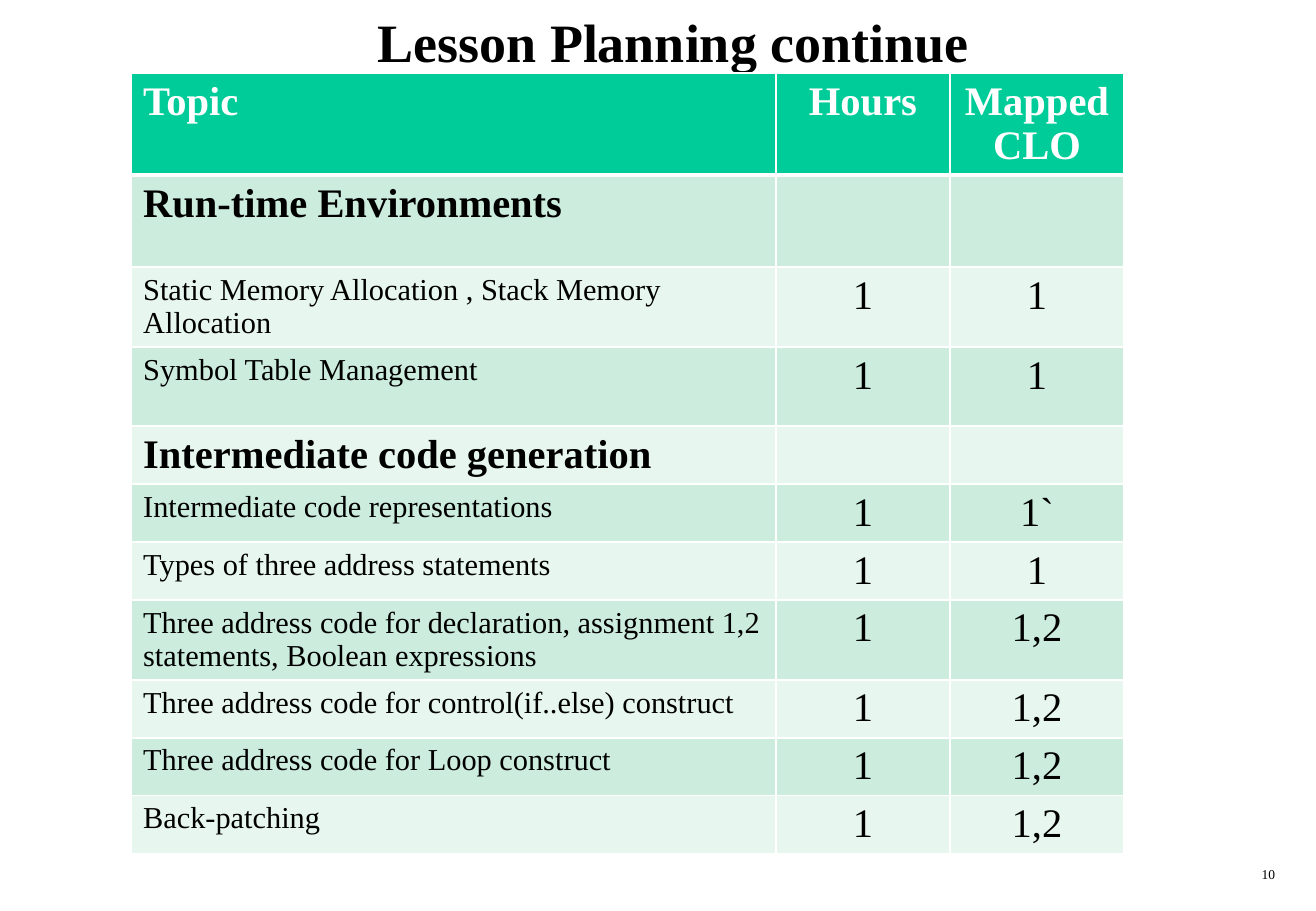
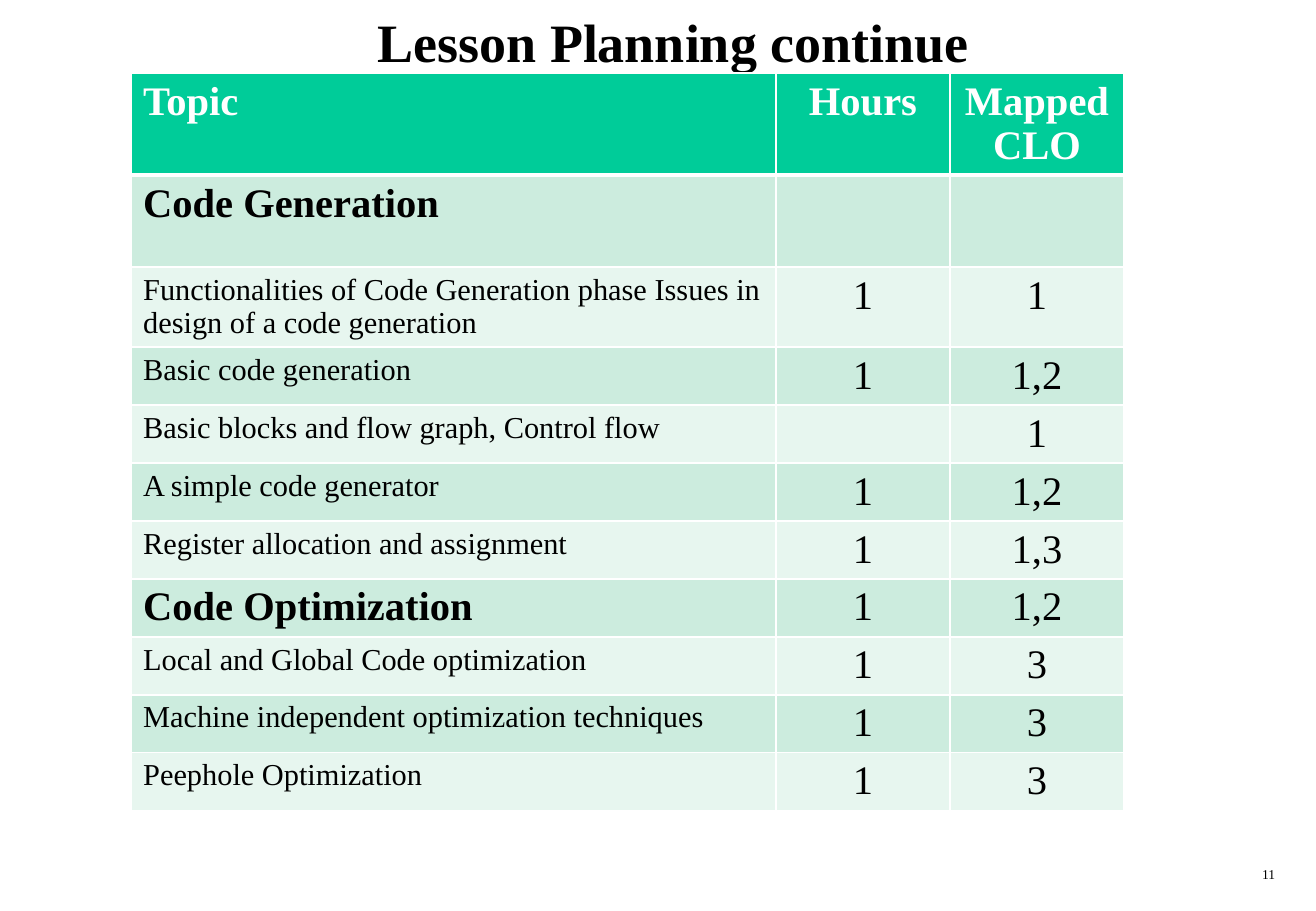
"""Builds two lesson planning slides, each with a topic table."""
from pptx import Presentation
from pptx.dml.color import RGBColor
from pptx.enum.text import MSO_ANCHOR, MSO_AUTO_SIZE, PP_ALIGN
from pptx.oxml import parse_xml
from pptx.oxml.ns import nsdecls
from pptx.util import Pt

LEFT, CENTER, RIGHT = PP_ALIGN.LEFT, PP_ALIGN.CENTER, PP_ALIGN.RIGHT
MIDDLE, NO_AUTOFIT = MSO_ANCHOR.MIDDLE, MSO_AUTO_SIZE.NONE

BLACK = RGBColor(0x00, 0x00, 0x00)
WHITE = RGBColor(0xFF, 0xFF, 0xFF)
GREEN = RGBColor(0x00, 0xCC, 0x99)
BANDS = [RGBColor(0xE7, 0xF6, 0xEF), RGBColor(0xCC, 0xEC, 0xDE)]

PX = 914400 / 121.5
TITLE_BOX = (51, 10, 1245, 61)
NUMBER_BOX = (1012, 860, 275, 30)
TABLE_LEFT, TABLE_TOP = 131, 73
COLUMN_WIDTHS = [645, 174, 174]
HEADER_HEIGHT = 102

TITLE = {"size": Pt(32), "bold": True}
SECTION = {"size": Pt(24), "bold": True}
LESSON = {"size": Pt(18), "bold": False}
VALUE = {"size": Pt(24), "bold": False}
NUMBER = {"size": Pt(8), "bold": False}

HEADER = ("Topic", "Hours", "Mapped CLO")
PLANS = {
    10: [
        (92, SECTION, "Run-time Environments", "", ""),
        (80, LESSON, "Static Memory Allocation , Stack Memory Allocation", "1", "1"),
        (79, LESSON, "Symbol Table Management", "1", "1"),
        (58, SECTION, "Intermediate code generation", "", ""),
        (58, LESSON, "Intermediate code representations", "1", "1`"),
        (58, LESSON, "Types of three address statements", "1", "1"),
        (80, LESSON, "Three address code for declaration, assignment 1,2 "
                     "statements, Boolean expressions", "1", "1,2"),
        (58, LESSON, "Three address code for control(if..else) construct", "1", "1,2"),
        (58, LESSON, "Three address code for Loop construct", "1", "1,2"),
        (58, LESSON, "Back-patching", "1", "1,2"),
    ],
    11: [
        (92, SECTION, "Code Generation", "", ""),
        (80, LESSON, "Functionalities of Code Generation phase Issues in "
                     "design of a code generation", "1", "1"),
        (58, LESSON, "Basic code generation", "1", "1,2"),
        (58, LESSON, "Basic blocks and flow graph, Control flow", "", "1"),
        (58, LESSON, "A simple code generator", "1", "1,2"),
        (58, LESSON, "Register allocation and assignment", "1", "1,3"),
        (58, SECTION, "Code Optimization", "1", "1,2"),
        (58, LESSON, "Local and Global Code optimization", "1", "3"),
        (58, LESSON, "Machine independent optimization techniques", "1", "3"),
        (58, LESSON, "Peephole Optimization", "1", "3"),
    ],
}


def write(frame, text, style, align, color=BLACK):
    paragraph = frame.paragraphs[0]
    paragraph.alignment = align
    if text:
        run = paragraph.add_run()
        run.text = text
        run.font.name = "Times New Roman"
        run.font.color.rgb = color
        for attribute, value in style.items():
            setattr(run.font, attribute, value)


def paint(cell, fill, top, bottom):
    properties = cell._tc.get_or_add_tcPr()
    for side, points in {"L": 1, "R": 1, "T": top, "B": bottom}.items():
        properties.append(parse_xml(
            f'<a:ln{side} {nsdecls("a")} w="{Pt(points)}"><a:solidFill>'
            f'<a:srgbClr val="{WHITE}"/></a:solidFill></a:ln{side}>'))
    cell.fill.solid()
    cell.fill.fore_color.rgb = fill


deck = Presentation()
deck.slide_width, deck.slide_height = round(1316 * PX), round(911 * PX)

for page, lessons in PLANS.items():
    slide = deck.slides.add_slide(deck.slide_layouts[5])

    title = slide.shapes.title
    title.left, title.top, title.width, title.height = [round(v * PX) for v in TITLE_BOX]
    title.text_frame.auto_size = NO_AUTOFIT
    title.text_frame.vertical_anchor = MIDDLE
    write(title.text_frame, "Lesson Planning continue", TITLE, CENTER)

    rows = [(HEADER_HEIGHT, SECTION, *HEADER)] + lessons
    area = (TABLE_LEFT, TABLE_TOP, sum(COLUMN_WIDTHS), sum(row[0] for row in rows))
    plan = slide.shapes.add_table(
        len(rows), len(COLUMN_WIDTHS), *[round(v * PX) for v in area]).table
    plan.horz_banding = False
    for column, width in zip(plan.columns, COLUMN_WIDTHS):
        column.width = round(width * PX)

    for r, (height, topic_style, *texts) in enumerate(rows):
        plan.rows[r].height = round(height * PX)
        is_header = r == 0
        for c, text in enumerate(texts):
            cell = plan.cell(r, c)
            style = topic_style if is_header or c == 0 else VALUE
            write(cell.text_frame, text, style, CENTER if c else LEFT,
                  WHITE if is_header else BLACK)
            paint(cell, GREEN if is_header else BANDS[r % 2],
                  3 if r == 1 else 1, 3 if is_header else 1)

    number = slide.shapes.add_textbox(*[round(v * PX) for v in NUMBER_BOX])
    number.text_frame.word_wrap = True
    write(number.text_frame, str(page), NUMBER, RIGHT)

deck.save("out.pptx")
